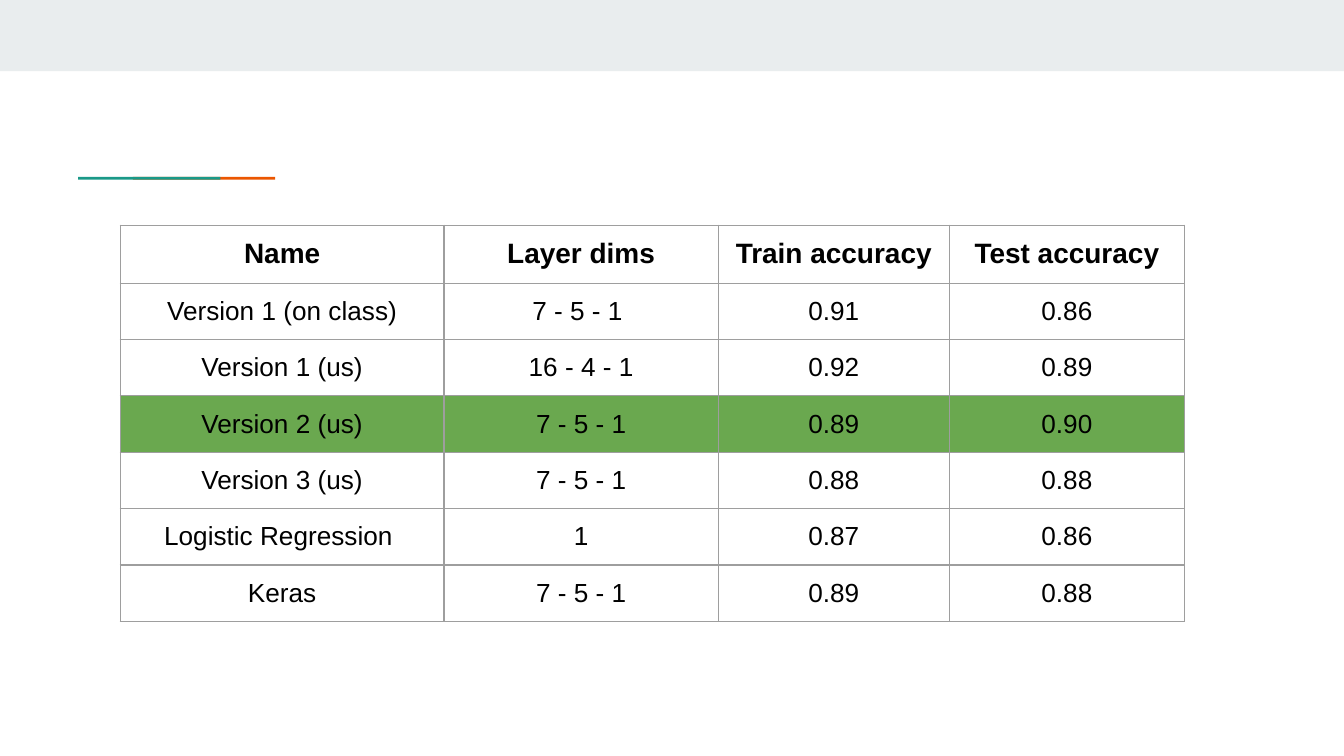
from dataclasses import dataclass

from lxml import etree
from pptx import Presentation
from pptx.dml.color import RGBColor
from pptx.enum import shapes, text
from pptx.oxml import ns
from pptx.util import Pt

BAND_GREY = RGBColor(0xE9, 0xED, 0xEE)
ORANGE = RGBColor(0xEB, 0x56, 0x00)
TEAL = RGBColor(0x1A, 0x99, 0x88)
BEST_GREEN = RGBColor(0x6A, 0xA8, 0x4F)
GRID_GREY = RGBColor(0x9E, 0x9E, 0x9E)
BLACK = RGBColor(0, 0, 0)

FONT = "Arial"
SLIDE_WIDTH, SLIDE_HEIGHT = 720, 405
TABLE_LEFT, TABLE_TOP = 64.4, 120.6
COLUMN_WIDTHS = (173.5, 146.9, 123.8, 126)
ROW_HEIGHT = 30.2
CELL_MARGIN = 7.2
BORDER_WIDTH = 0.75


@dataclass
class Bar:
    left: float
    top: float
    width: float
    height: float
    color: RGBColor


@dataclass
class Model:
    name: str
    layer_dims: str
    train_accuracy: str
    test_accuracy: str
    best: bool = False

    def values(self) -> tuple[str, ...]:
        return self.name, self.layer_dims, self.train_accuracy, self.test_accuracy


BARS = (
    Bar(0, 0, SLIDE_WIDTH, 38.2, BAND_GREY),
    Bar(71.2, 94.8, 76.2, 1.5, ORANGE),
    Bar(41.9, 94.8, 76.2, 1.5, TEAL),
)
HEADINGS = ("Name", "Layer dims", "Train accuracy", "Test accuracy")
MODELS = (
    Model("Version 1 (on class)", "7 - 5 - 1 ", "0.91", "0.86"),
    Model("Version 1 (us)", "16 - 4 - 1", "0.92", "0.89"),
    Model("Version 2 (us)", "7 - 5 - 1", "0.89", "0.90", best=True),
    Model("Version 3 (us)", "7 - 5 - 1", "0.88", "0.88"),
    Model("Logistic Regression ", "1", "0.87", "0.86"),
    Model("Keras", "7 - 5 - 1", "0.89", "0.88"),
)


def draw_bar(slide, bar: Bar) -> None:
    shape = slide.shapes.add_shape(
        shapes.MSO_SHAPE.RECTANGLE,
        Pt(bar.left), Pt(bar.top), Pt(bar.width), Pt(bar.height),
    )
    shape.shadow.inherit = False
    shape.fill.solid()
    shape.fill.fore_color.rgb = bar.color
    shape.line.fill.background()


def add_borders(cell) -> None:
    """Line all four sides; borders must precede the cell's fill in the XML."""
    properties = cell._tc.get_or_add_tcPr()
    for position, side in enumerate(("a:lnL", "a:lnR", "a:lnT", "a:lnB")):
        line = etree.Element(ns.qn(side), w=str(Pt(BORDER_WIDTH)))
        fill = etree.SubElement(line, ns.qn("a:solidFill"))
        etree.SubElement(fill, ns.qn("a:srgbClr"), val=str(GRID_GREY))
        properties.insert(position, line)


def fill_cell(cell, value: str, size: float, bold: bool, best: bool) -> None:
    cell.margin_left = cell.margin_right = Pt(CELL_MARGIN)
    cell.margin_top = cell.margin_bottom = Pt(CELL_MARGIN)
    if best:
        cell.fill.solid()
        cell.fill.fore_color.rgb = BEST_GREEN
    else:
        cell.fill.background()
    add_borders(cell)
    paragraph = cell.text_frame.paragraphs[0]
    paragraph.text = value
    paragraph.alignment = text.PP_ALIGN.CENTER
    font = paragraph.runs[0].font
    font.name, font.size, font.bold = FONT, Pt(size), bold
    font.color.rgb = BLACK


def draw_results(slide) -> None:
    row_count = len(MODELS) + 1
    results = slide.shapes.add_table(
        row_count, len(HEADINGS), Pt(TABLE_LEFT), Pt(TABLE_TOP),
        Pt(sum(COLUMN_WIDTHS)), Pt(ROW_HEIGHT * row_count),
    ).table
    results.first_row = results.horz_banding = False
    for column, width in zip(results.columns, COLUMN_WIDTHS):
        column.width = Pt(width)
    for row in results.rows:
        row.height = Pt(ROW_HEIGHT)

    for cell, heading in zip(results.rows[0].cells, HEADINGS):
        fill_cell(cell, heading, size=15, bold=True, best=False)
    for row_index, model in enumerate(MODELS, start=1):
        for cell, value in zip(results.rows[row_index].cells, model.values()):
            fill_cell(cell, value, size=14, bold=False, best=model.best)


def main() -> None:
    presentation = Presentation()
    presentation.slide_width = Pt(SLIDE_WIDTH)
    presentation.slide_height = Pt(SLIDE_HEIGHT)
    slide = presentation.slides.add_slide(presentation.slide_layouts[6])
    for bar in BARS:
        draw_bar(slide, bar)
    draw_results(slide)
    presentation.save("out.pptx")


if __name__ == "__main__":
    main()
